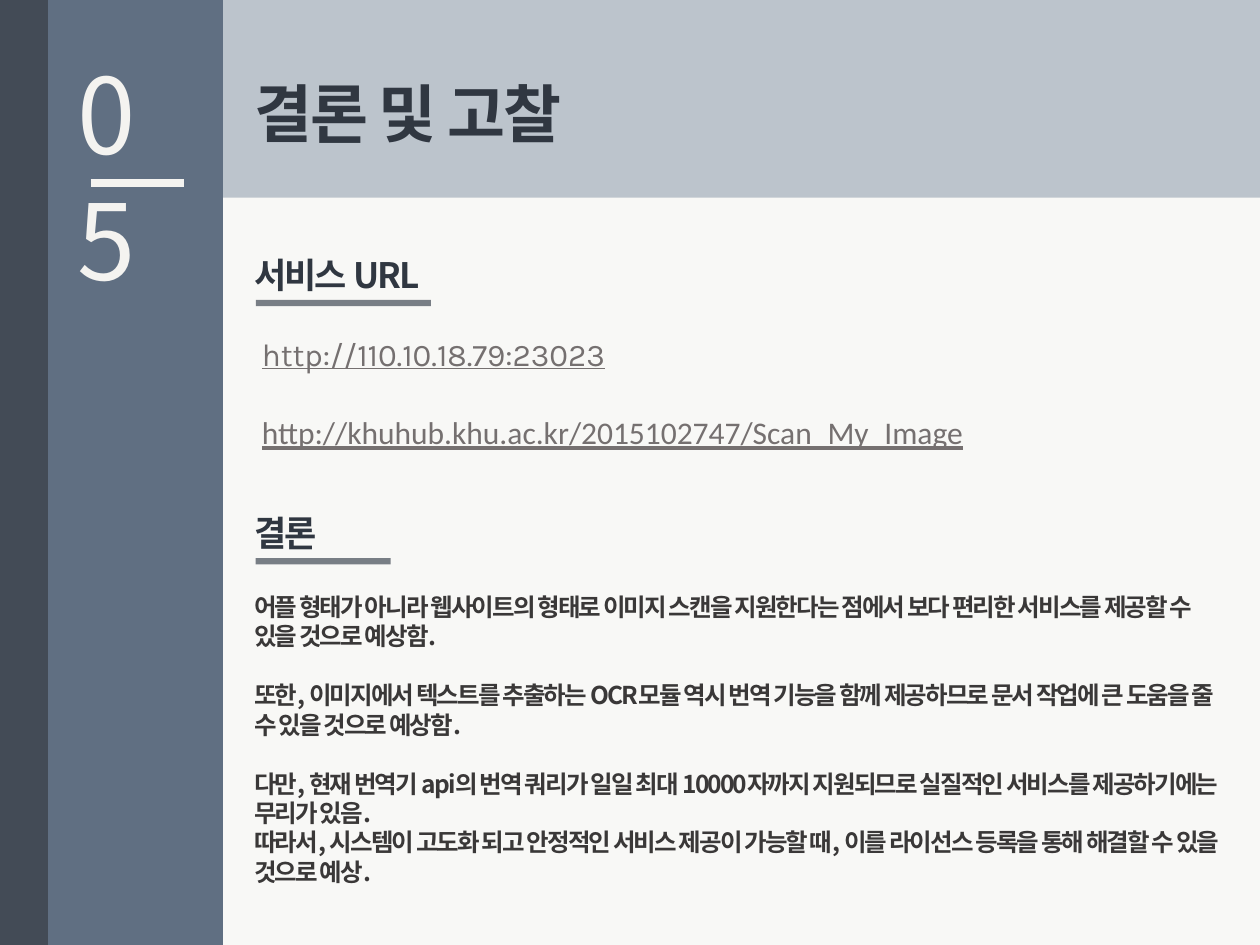
from lxml import etree
from pptx import Presentation
from pptx.dml.color import RGBColor
from pptx.enum.shapes import MSO_CONNECTOR, MSO_SHAPE
from pptx.oxml.ns import qn
from pptx.util import Inches, Pt

RECTANGLE = MSO_SHAPE.RECTANGLE
STRAIGHT = MSO_CONNECTOR.STRAIGHT

PAPER = RGBColor(0xF8, 0xF8, 0xF6)
IVORY = RGBColor(0xF4, 0xF3, 0xF0)
MIST = RGBColor(0x95, 0xA2, 0xB1)
SLATE = RGBColor(0x60, 0x6F, 0x82)
CHARCOAL = RGBColor(0x43, 0x4B, 0x56)
INK = RGBColor(0x30, 0x37, 0x41)
BODY = RGBColor(0x3A, 0x38, 0x38)
LINK = RGBColor(0x75, 0x70, 0x70)

KOREAN = "Noto Sans CJK KR"
TIGHT = -1.1
BODY_SIZE = 14
BODY_LINE = 16.8

CONCLUSIONS = [
    ("어플 형태가 아니라 웹사이트의 형태로 이미지 스캔을 지원한다는 점에서 보다 편리한 서비스를 "
     "제공할 수 있을 것으로 예상함.", 0),
    ("또한, 이미지에서 텍스트를 추출하는 OCR모듈 역시 번역 기능을 함께 제공하므로 문서 작업에 "
     "큰 도움을 줄 수 있을 것으로 예상함.", BODY_LINE),
    ("다만, 현재 번역기 api의 번역 쿼리가 일일 최대 10000자까지 지원되므로 실질적인 서비스를 "
     "제공하기에는 무리가 있음.", BODY_LINE),
    ("따라서, 시스템이 고도화 되고 안정적인 서비스 제공이 가능할 때, 이를 라이선스 등록을 통해 "
     "해결할 수 있을 것으로 예상.", 0),
]


def add_block(slide, left, top, width, height, color, opacity=100):
    """Add a borderless rectangle, optionally translucent."""
    block = slide.shapes.add_shape(
        RECTANGLE, Inches(left), Inches(top), Inches(width), Inches(height))
    block.shadow.inherit = False
    block.fill.solid()
    block.fill.fore_color.rgb = color
    block.line.fill.background()
    if opacity < 100:
        tint = block.fill._xPr.find(".//" + qn("a:srgbClr"))
        etree.SubElement(tint, qn("a:alpha"), val=str(opacity * 1000))


def add_text(slide, left, top, width, height, paragraphs, size, color,
             face=KOREAN, bold=False, underline=False, spacing=0):
    """Add a wrapped text box from (text, space before) pairs."""
    frame = slide.shapes.add_textbox(
        Inches(left), Inches(top), Inches(width), Inches(height)).text_frame
    frame.word_wrap = True
    frame.text = "\n".join(text for text, _ in paragraphs)
    for paragraph, (_, gap) in zip(frame.paragraphs, paragraphs):
        if gap:
            paragraph.space_before = Pt(gap)
        for run in paragraph.runs:
            font = run.font
            font.name, font.size = face, Pt(size)
            font.bold, font.underline = bold, underline
            font.color.rgb = color
            properties = run._r.get_or_add_rPr()
            etree.SubElement(properties, qn("a:ea"), typeface=face)
            if spacing:
                properties.set("spc", str(round(spacing * 100)))


def add_header(slide, left, top, width, height):
    """Place the title band and the title beside the sidebar."""
    add_block(slide, left, top, width, height, MIST, 60)
    add_text(slide, left + 1.92, top + 0.54, width - 1.92, 0.71,
             [("결론 및 고찰", 0)], 36, INK, bold=True, spacing=TIGHT)


def add_sidebar(slide, left, top, width, height):
    """Place the sidebar with its dark edge and chapter number."""
    add_block(slide, left, top, width, height, SLATE)
    add_text(slide, left + 0.52, top + 0.34, 0.94, 1.11, [("05", 0)], 60, IVORY)
    rule_y = Inches(top + 1.45)
    rule = slide.shapes.add_connector(
        STRAIGHT, Inches(left + 0.72), rule_y, Inches(left + 1.46), rule_y)
    rule.line.color.rgb = IVORY
    rule.line.width = Pt(4.5)
    etree.SubElement(rule._element.spPr, qn("a:effectLst"))
    add_block(slide, left, top, 0.38, height, CHARCOAL)


def add_heading(slide, left, top, width, heading, underline_width):
    """Place a section heading above its thick underline."""
    add_text(slide, left, top, width, 0.44, [(heading, 0)], 20, INK,
             bold=True, spacing=TIGHT)
    add_block(slide, left + 0.11, top + 0.42, underline_width, 0.05, CHARCOAL, 70)


def add_service_urls(slide, left, top, width):
    """Place the service section with its two addresses."""
    add_heading(slide, left, top, width, "서비스 URL", 1.39)
    addresses = [("http://110.10.18.79:23023", "Karla"),
                 ("http://khuhub.khu.ac.kr/2015102747/Scan_My_Image", "Calibri")]
    for row, (address, face) in enumerate(addresses):
        add_text(slide, left + 0.06, top + 0.65 + row * 0.62, 11.47, 0.4,
                 [(address, 0)], 18, LINK, face=face, underline=True)


def add_conclusion(slide, left, top, width):
    """Place the conclusion section with its paragraphs."""
    add_heading(slide, left, top, width, "결론", 1.07)
    add_text(slide, left, top + 0.64, 7.97, 2.46, CONCLUSIONS, BODY_SIZE, BODY,
             bold=True, spacing=TIGHT)


def main():
    """Build and save the conclusion slide."""
    deck = Presentation()
    deck.slide_width, deck.slide_height = Inches(10), Inches(7.5)
    slide = deck.slides.add_slide(deck.slide_layouts[6])
    slide.background.fill.solid()
    slide.background.fill.fore_color.rgb = PAPER
    add_header(slide, 0, 0, 10, 1.57)
    add_sidebar(slide, 0, 0, 1.77, 7.5)
    add_service_urls(slide, 1.92, 1.96, 7.17)
    add_conclusion(slide, 1.92, 4.01, 7.17)
    deck.save("out.pptx")


if __name__ == "__main__":
    main()
